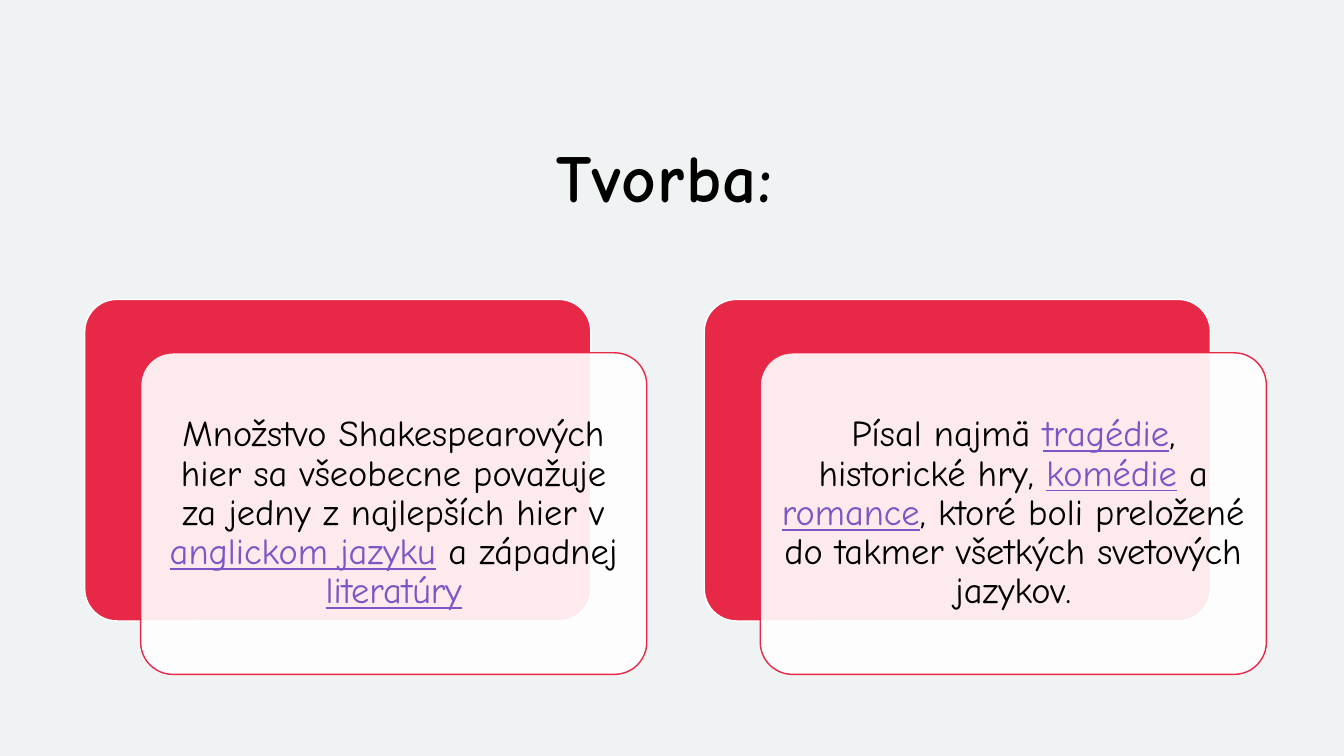
from lxml.etree import SubElement
from pptx import Presentation
from pptx.dml.color import RGBColor as Rgb
from pptx.enum.shapes import MSO_SHAPE as Preset
from pptx.enum.text import MSO_ANCHOR as Anchor, PP_ALIGN as Align
from pptx.oxml.ns import qn
from pptx.util import Inches, Pt

COLORS = {
    "background": "F0F3F3",
    "red": "E72947",
    "white": "FFFFFF",
    "text": "000000",
    "link": "7C55C6",
}
FONT = "Comic Neue"
SLIDE_WIDTH, SLIDE_HEIGHT = 13.33, 7.5
CARD_WIDTH, CARD_HEIGHT = 5.02, 3.19
FIRST_LEFT, CARD_TOP = 0.84, 2.97
COLUMN_STEP = 6.145
FRONT_SHIFT_X, FRONT_SHIFT_Y = 0.555, 0.53

CARDS = [
    [
        ("Množstvo Shakespearových hier sa všeobecne považuje "
         "za jedny z najlepších hier v ", False),
        ("anglickom jazyku", True),
        (" a západnej ", False),
        ("literatúry", True),
    ],
    [
        ("Písal najmä ", False),
        ("tragédie", True),
        (", historické hry, ", False),
        ("komédie", True),
        (" a ", False),
        ("romance", True),
        (", ktoré boli preložené do takmer všetkých svetových jazykov.", False),
    ],
]


def color(name):
    return Rgb.from_string(COLORS[name])


def write_text(shape, spans, size, bold=False, tracking=0, line_spacing=1.0, margin=0.1):
    frame = shape.text_frame
    frame.word_wrap = True
    frame.vertical_anchor = Anchor.MIDDLE
    frame.margin_left = frame.margin_right = Inches(margin)
    frame.margin_top = frame.margin_bottom = Inches(margin)
    para = frame.paragraphs[0]
    para.alignment = Align.CENTER
    para.line_spacing = line_spacing
    for text, linked in spans:
        span = para.add_run()
        span.text = text
        span.font.name = FONT
        span.font.size = Pt(size)
        span.font.bold = bold
        span.font.underline = linked
        span.font.color.rgb = color("link" if linked else "text")
        if tracking:
            span.font._element.set("spc", str(tracking * 100))


def add_panel(page, left, top, fill, line, opacity=100):
    panel = page.shapes.add_shape(
        Preset.ROUNDED_RECTANGLE,
        Inches(left), Inches(top), Inches(CARD_WIDTH), Inches(CARD_HEIGHT),
    )
    panel.adjustments[0] = 0.1
    panel.shadow.inherit = False
    panel.fill.solid()
    panel.fill.fore_color.rgb = color(fill)
    panel.line.color.rgb = color(line)
    panel.line.width = Pt(1)
    if opacity < 100:
        shade = panel._element.spPr.find(qn("a:solidFill")).find(qn("a:srgbClr"))
        SubElement(shade, qn("a:alpha")).set("val", str(opacity * 1000))
    return panel


def add_card(page, column, spans):
    left = FIRST_LEFT + column * COLUMN_STEP
    add_panel(page, left, CARD_TOP, "red", "white")
    front = add_panel(page, left + FRONT_SHIFT_X, CARD_TOP + FRONT_SHIFT_Y,
                      "white", "red", opacity=90)
    write_text(front, spans, size=26, line_spacing=0.9, margin=0.11)


def add_title(page, text):
    box = page.shapes.add_textbox(Inches(1.12), Inches(0.8), Inches(10.94), Inches(1.89))
    write_text(box, [(text, False)], size=48, bold=True, tracking=1)


def main():
    deck = Presentation()
    deck.slide_width, deck.slide_height = Inches(SLIDE_WIDTH), Inches(SLIDE_HEIGHT)
    page = deck.slides.add_slide(deck.slide_layouts[6])
    page.background.fill.solid()
    page.background.fill.fore_color.rgb = color("background")
    add_title(page, "Tvorba:")
    for column, spans in enumerate(CARDS):
        add_card(page, column, spans)
    deck.save("out.pptx")


if __name__ == "__main__":
    main()
